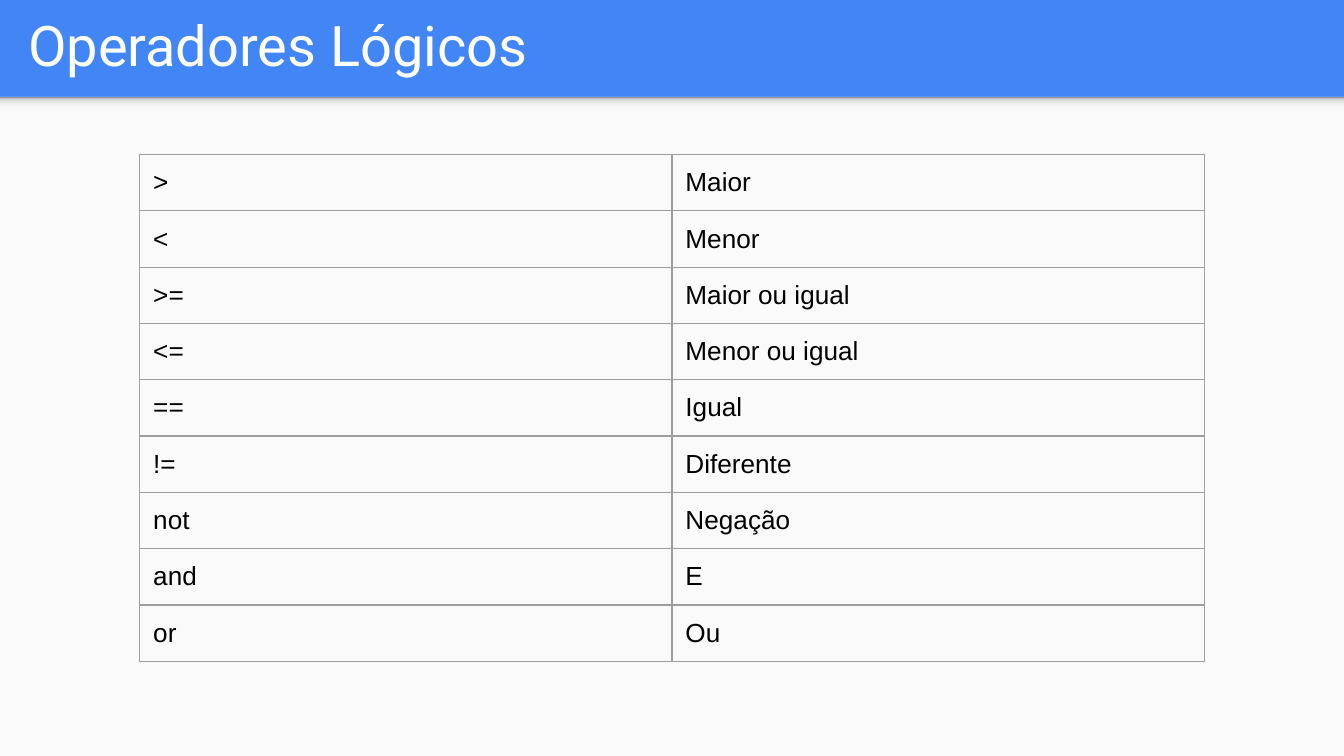
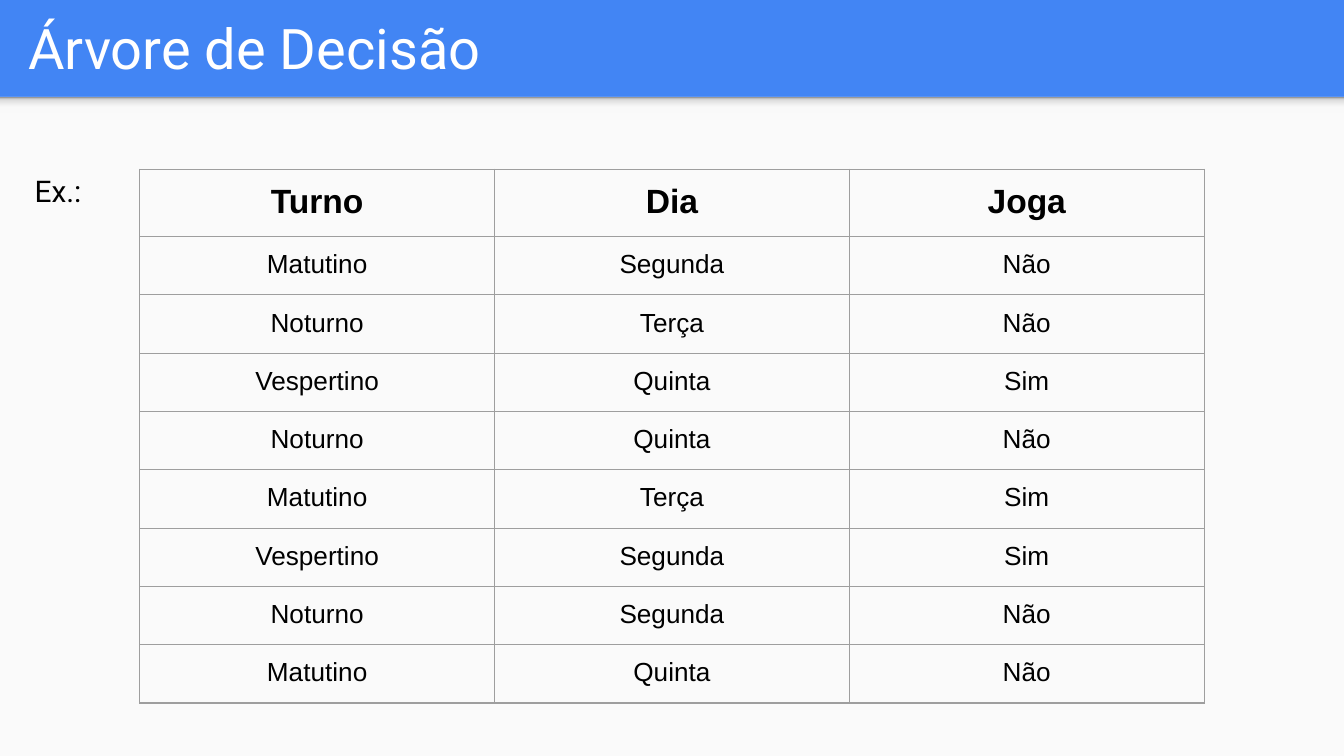
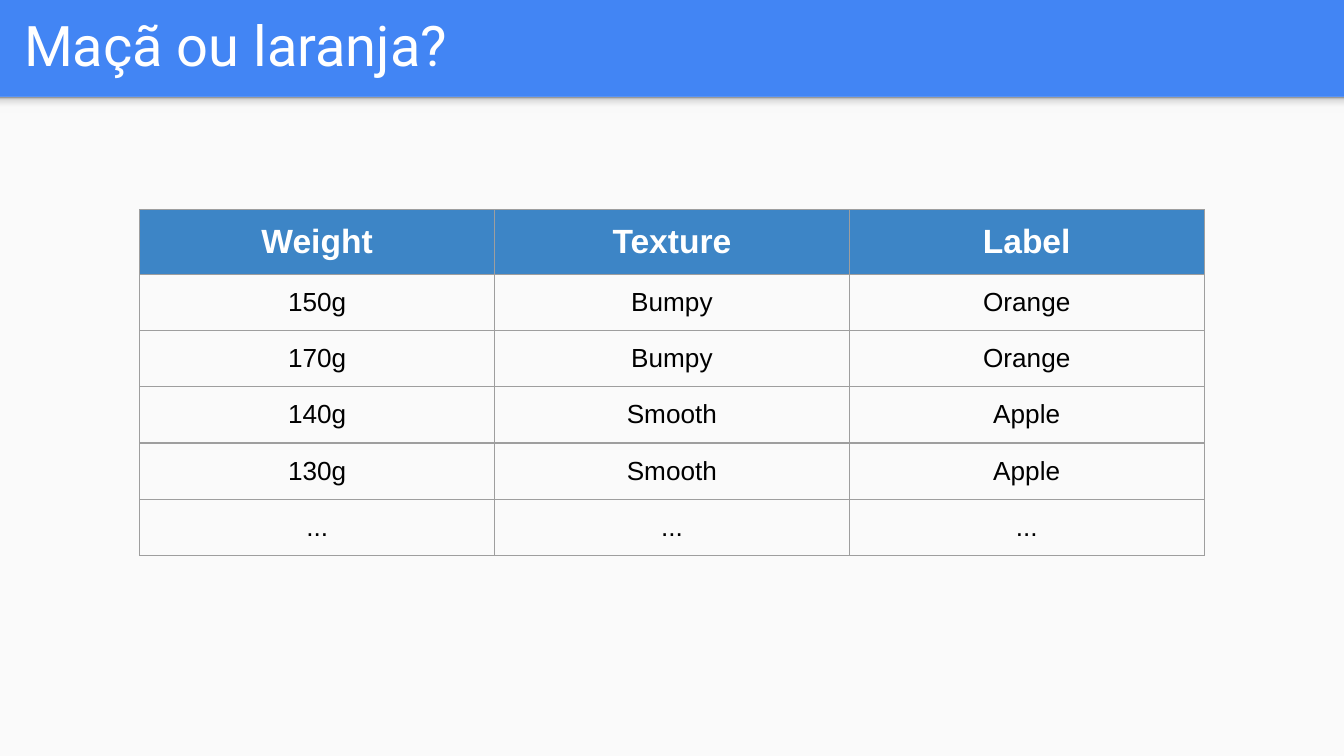
from lxml.etree import SubElement
from pptx import Presentation
from pptx.dml.color import RGBColor
from pptx.enum.shapes import MSO_SHAPE
from pptx.enum.text import MSO_ANCHOR, MSO_AUTO_SIZE, PP_ALIGN
from pptx.oxml.ns import qn
from pptx.util import Inches, Pt

BLUE = "4285F4"
PANEL = "FAFAFA"
WHITE = "FFFFFF"
BLACK = "000000"
GRID = "9E9E9E"
HEADER_BLUE = "3D85C6"
SHADOW_STOPS = [(0, "F9F9F9"), (36, "F9F9F9"), (80, "DEDEDE"), (100, "999999")]
TITLE_FONT = "Roboto"
TABLE_FONT = "Arial"
SLIDE_W = 10
SLIDE_H = SLIDE_W * 9 / 16
BAND_H = 0.72
INSET = Inches(0.1)
TABLE_LEFT, TABLE_W, ROW_H = 1.04, 7.92, 5 / 12
FRAME_SIZE = 3.28

OPERATORS = [
    (">", "Maior"),
    ("<", "Menor"),
    (">=", "Maior ou igual"),
    ("<=", "Menor ou igual"),
    ("==", "Igual"),
    ("!=", "Diferente"),
    ("not", "Negação"),
    ("and", "E"),
    ("or", "Ou"),
]
GAMES = [
    ("Turno", "Dia", "Joga"),
    ("Matutino", "Segunda", "Não"),
    ("Noturno", "Terça", "Não"),
    ("Vespertino", "Quinta", "Sim"),
    ("Noturno", "Quinta", "Não"),
    ("Matutino", "Terça", "Sim"),
    ("Vespertino", "Segunda", "Sim"),
    ("Noturno", "Segunda", "Não"),
    ("Matutino", "Quinta", "Não"),
]
FRUITS = [
    ("Weight", "Texture", "Label"),
    ("150g", "Bumpy", "Orange"),
    ("170g", "Bumpy", "Orange"),
    ("140g", "Smooth", "Apple"),
    ("130g", "Smooth", "Apple"),
    ("...", "...", "..."),
]


def rgb(value):
    return RGBColor.from_string(value)


def set_insets(box):
    box.margin_left = box.margin_right = INSET
    box.margin_top = box.margin_bottom = INSET


def add_run(p, text, size, font, color, bold=False):
    r = p.add_run()
    r.text = text
    r.font.size = Pt(size)
    r.font.name = font
    r.font.bold = bold
    r.font.color.rgb = rgb(color)


def add_rect(s, top, height):
    sp = s.shapes.add_shape(
        MSO_SHAPE.RECTANGLE, 0, Inches(top), Inches(SLIDE_W), Inches(height))
    sp.shadow.inherit = False
    sp.line.fill.background()
    return sp


def add_panel(s):
    sp = add_rect(s, BAND_H, SLIDE_H - BAND_H)
    sp.fill.solid()
    sp.fill.fore_color.rgb = rgb(PANEL)


def add_band_shadow(s):
    sp = add_rect(s, BAND_H, 0.12)
    sp.fill.gradient()
    sp.fill.gradient_angle = 90
    stops = sp.element.spPr.find(qn("a:gradFill")).find(qn("a:gsLst"))
    for stop in list(stops):
        stops.remove(stop)
    for percent, color in SHADOW_STOPS:
        stop = SubElement(stops, qn("a:gs"), pos=str(percent * 1000))
        SubElement(stop, qn("a:srgbClr"), val=color)


def set_title(s, text, left, top):
    title = s.shapes.title
    title.left, title.top = Inches(left), Inches(top)
    title.width, title.height = Inches(9.65), Inches(0.66)
    tf = title.text_frame
    set_insets(tf)
    tf.word_wrap = True
    tf.auto_size = MSO_AUTO_SIZE.NONE
    tf.vertical_anchor = MSO_ANCHOR.MIDDLE
    p = tf.paragraphs[0]
    p.alignment = PP_ALIGN.LEFT
    add_run(p, text, 30, TITLE_FONT, WHITE)


def add_slide(prs, title, left=0.11, top=0):
    s = prs.slides.add_slide(prs.slide_layouts[5])
    s.background.fill.solid()
    s.background.fill.fore_color.rgb = rgb(BLUE)
    add_panel(s)
    add_band_shadow(s)
    set_title(s, title, left, top)
    return s


def add_example_label(s, text):
    sp = s.shapes.add_textbox(Inches(0.16), Inches(1.05), Inches(9.55), Inches(4.49))
    tf = sp.text_frame
    tf.word_wrap = True
    set_insets(tf)
    p = tf.paragraphs[0]
    p.alignment = PP_ALIGN.JUSTIFY
    p.line_spacing = 1.5
    add_run(p, text, 16, TITLE_FONT, BLACK)


def set_borders(cell):
    tc_pr = cell._tc.get_or_add_tcPr()
    for side in ("a:lnL", "a:lnR", "a:lnT", "a:lnB"):
        line = SubElement(tc_pr, qn(side), w=str(Pt(0.75)))
        fill = SubElement(line, qn("a:solidFill"))
        SubElement(fill, qn("a:srgbClr"), val=GRID)


def fill_cell(cell, text, align, is_header, header_fill):
    set_borders(cell)
    set_insets(cell)
    color = BLACK
    if is_header and header_fill:
        cell.fill.solid()
        cell.fill.fore_color.rgb = rgb(header_fill)
        color = WHITE
    else:
        cell.fill.background()
    p = cell.text_frame.paragraphs[0]
    p.alignment = align
    add_run(p, text, 18 if is_header else 14, TABLE_FONT, color, is_header)


def add_grid(s, rows, top, align=PP_ALIGN.CENTER, header=True, header_fill=None):
    n_cols = len(rows[0])
    frame = s.shapes.add_table(
        len(rows), n_cols, Inches(TABLE_LEFT), Inches(top),
        Inches(TABLE_W), Inches(ROW_H * len(rows)))
    table = frame.table
    table.first_row = header
    table.horz_banding = False
    for column in table.columns:
        column.width = Inches(TABLE_W / n_cols)
    for i, values in enumerate(rows):
        table.rows[i].height = Inches(ROW_H)
        for j, text in enumerate(values):
            fill_cell(table.cell(i, j), text, align, header and i == 0, header_fill)
    frame.width = frame.height = Inches(FRAME_SIZE)


def main():
    prs = Presentation()
    prs.slide_width, prs.slide_height = Inches(SLIDE_W), Inches(SLIDE_H)

    s = add_slide(prs, "Operadores Lógicos")
    add_grid(s, OPERATORS, 1.15, align=PP_ALIGN.LEFT, header=False)

    s = add_slide(prs, "Árvore de Decisão", top=0.02)
    add_example_label(s, "Ex.: ")
    add_grid(s, GAMES, 1.26)

    s = add_slide(prs, "Maçã ou laranja?", left=0.08)
    add_grid(s, FRUITS, 1.56, header_fill=HEADER_BLUE)

    prs.save("out.pptx")


if __name__ == "__main__":
    main()
